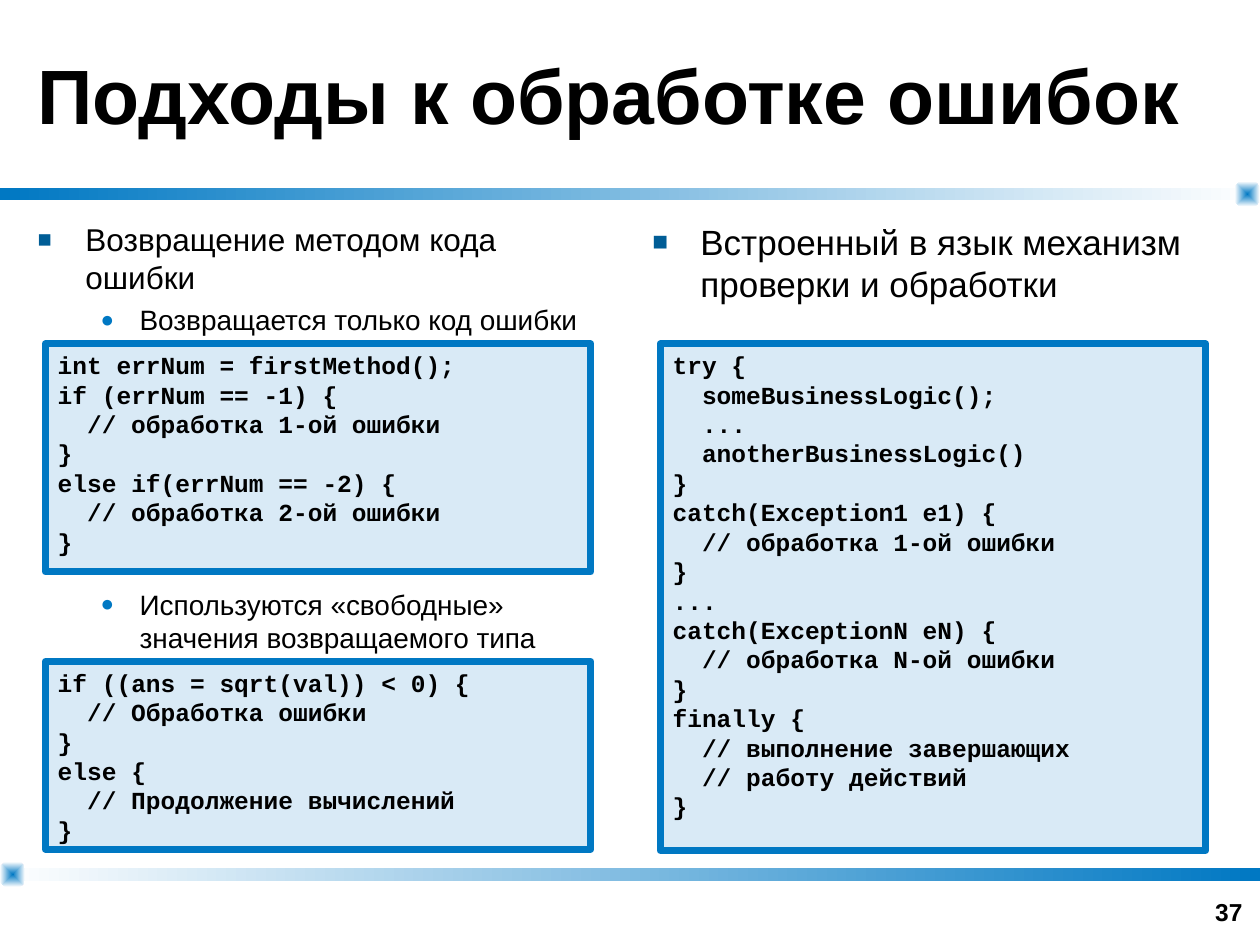
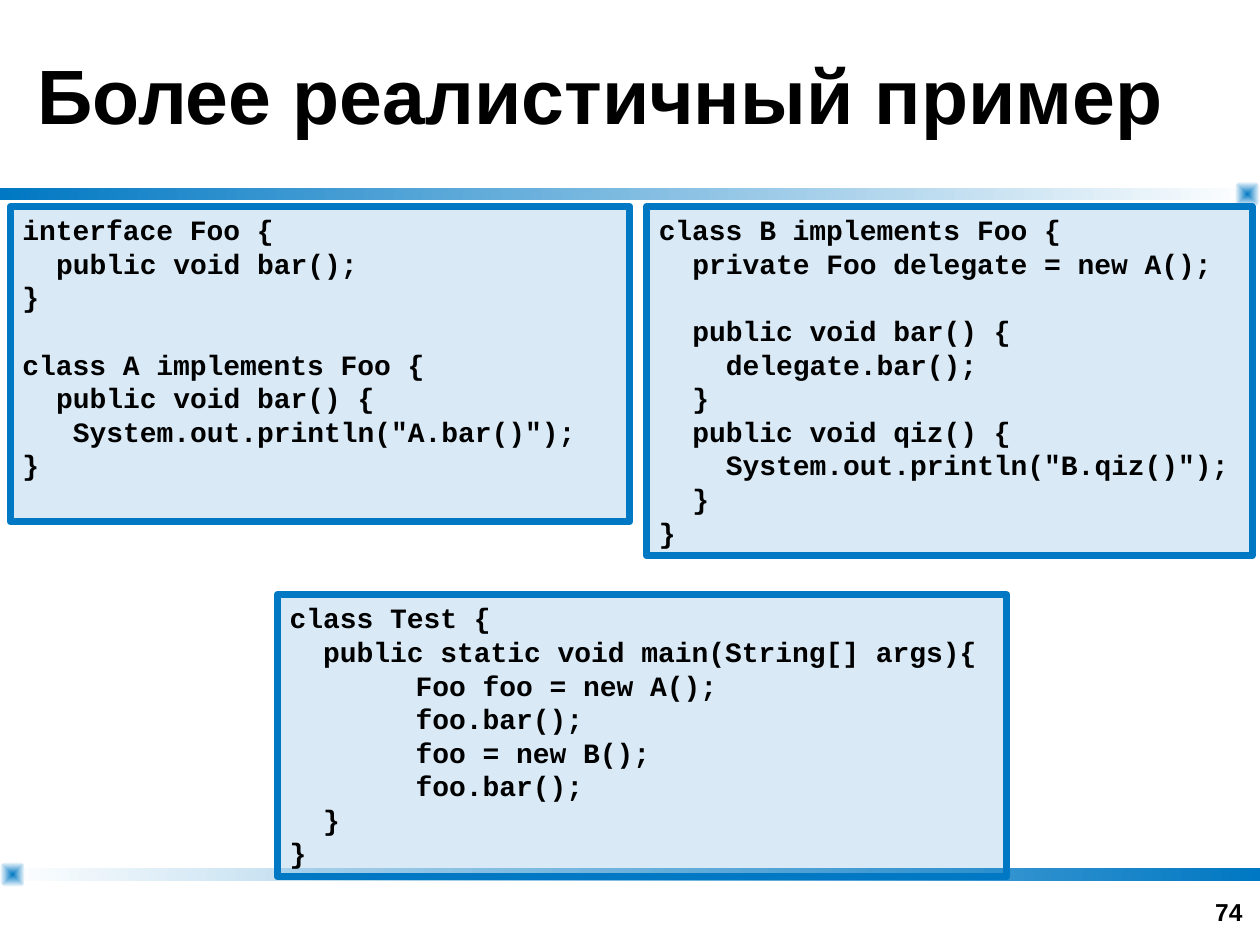
from dataclasses import dataclass
from lxml.etree import SubElement
from pptx import Presentation
from pptx.dml.color import RGBColor
from pptx.enum.shapes import MSO_SHAPE
from pptx.enum.text import MSO_ANCHOR, PP_ALIGN
from pptx.oxml.ns import qn
from pptx.util import Inches, Pt


@dataclass(frozen=True)
class Theme:
    blue: str = "0078C3"
    navy: str = "005D96"
    white: str = "FFFFFF"
    black: str = "000000"
    sans: str = "Arial"
    mono: str = "Courier New"
    title: int = 44
    sub: int = 16
    page: int = 14
    leading: float = 1.2


THEME = Theme()

CODES = """\
int errNum = firstMethod();
if (errNum == -1) {
  // обработка 1-ой ошибки
}
else if(errNum == -2) {
  // обработка 2-ой ошибки
}"""

FREE = """\
if ((ans = sqrt(val)) < 0) {
  // Обработка ошибки
}
else {
  // Продолжение вычислений
}"""

CATCH = """\
try {
  someBusinessLogic();
  ...
  anotherBusinessLogic()
}
catch(Exception1 e1) {
  // обработка 1-ой ошибки
}
...
catch(ExceptionN eN) {
  // обработка N-ой ошибки
}
finally {
  // выполнение завершающих
  // работу действий
}"""

CLASS_A = """\
interface Foo {
  public void bar();
}

class A implements Foo {
  public void bar() {
   System.out.println("A.bar()");
}"""

CLASS_B = """\
class B implements Foo {
  private Foo delegate = new A();

  public void bar() {
    delegate.bar();
  }
  public void qiz() {
    System.out.println("B.qiz()");
  }
}"""

TEST = """\
class Test {
  public static void main(String[] args){
\tFoo foo = new A();
\tfoo.bar();
\tfoo = new B();
\tfoo.bar();
  }
}"""


def rgb(color):
    return RGBColor.from_string(color)


def add_rect(slide, at, kind=MSO_SHAPE.RECTANGLE):
    shape = slide.shapes.add_shape(kind, *map(Inches, at))
    shape.shadow.inherit = False
    return shape


def blend(shape, start, end):
    """Fill with a left-to-right gradient and no outline."""
    shape.line.fill.background()
    shape.fill.gradient()
    shape.fill.gradient_angle = 0
    for stop, color in zip(shape.fill.gradient_stops, (start, end)):
        stop.color.rgb = rgb(color)


def add_band(slide, top, start, end):
    blend(add_rect(slide, (0, top, 10, 0.1)), start, end)


def add_knob(slide, left, top):
    """Rounded square that fades from its centre to the edges."""
    knob = add_rect(slide, (left, top, 0.2, 0.2), MSO_SHAPE.ROUNDED_RECTANGLE)
    knob.adjustments[0] = 0.32
    blend(knob, THEME.blue, THEME.white)
    grad = knob._element.spPr.find(qn("a:gradFill"))
    grad.remove(grad.find(qn("a:lin")))
    path = SubElement(grad, qn("a:path"), {"path": "rect"})
    SubElement(path, qn("a:fillToRect"), dict.fromkeys("ltrb", "50000"))


def add_text(slide, at, anchor=MSO_ANCHOR.TOP):
    frame = slide.shapes.add_textbox(*map(Inches, at)).text_frame
    frame.word_wrap = True
    frame.vertical_anchor = anchor
    return frame


def write(para, text, size, face=THEME.sans, bold=False):
    para.text = text
    para.line_spacing = Pt(size * THEME.leading)
    font = para.font
    font.name, font.size, font.bold = face, Pt(size), bold
    font.color.rgb = rgb(THEME.black)


def next_para(frame, index):
    return frame.add_paragraph() if index else frame.paragraphs[0]


def set_indent(para, left, first=0):
    props = para._p.get_or_add_pPr()
    props.set("marL", str(Inches(left)))
    props.set("indent", str(Inches(first)))
    return props


def add_bullet(para, level):
    left, hang, color, scale, sign = (
        (0.38, 0.38, THEME.navy, 75, "■"),
        (0.81, 0.31, THEME.blue, 80, "●"),
    )[level]
    para.level = level
    props = set_indent(para, left, -hang)
    tint = SubElement(props, qn("a:buClr"))
    SubElement(tint, qn("a:srgbClr"), val=color)
    SubElement(props, qn("a:buSzPct"), val=str(scale * 1000))
    SubElement(props, qn("a:buFont"), typeface=THEME.sans)
    SubElement(props, qn("a:buChar"), char=sign)


def add_list(slide, left, items):
    """Each item is its text, level, type size and space before in points."""
    frame = add_text(slide, (left, 1.7, 4.72, 4.9))
    for index, (text, level, size, space) in enumerate(items):
        para = next_para(frame, index)
        write(para, text, size)
        para.space_before = Pt(space)
        add_bullet(para, level)


def add_code(slide, at, code, size):
    """Code panel: leading blanks become indents, empty lines become spacing."""
    box = add_rect(slide, at)
    box.fill.solid()
    box.fill.fore_color.rgb = rgb(THEME.blue)
    tint = box._element.spPr.find(qn("a:solidFill"))[0]
    SubElement(tint, qn("a:alpha"), val="15000")
    box.line.color.rgb = rgb(THEME.blue)
    box.line.width = Pt(4)
    frame = box.text_frame
    frame.word_wrap = True
    frame.vertical_anchor = MSO_ANCHOR.TOP
    blocks = [block.split("\n") for block in code.split("\n\n")]
    lines = [(line, index > 0 and row == 0)
             for index, block in enumerate(blocks)
             for row, line in enumerate(block)]
    for index, (line, gap) in enumerate(lines):
        para = next_para(frame, index)
        text = line.lstrip()
        write(para, text, size, THEME.mono, True)
        para.alignment = PP_ALIGN.LEFT
        para.space_before = Pt(size * THEME.leading if gap else 0)
        tabs = line.count("\t")
        blanks = len(line) - len(text) - tabs
        set_indent(para, tabs + blanks * 0.6 * size / 72)


def add_page(deck, title, number):
    slide = deck.slides.add_slide(deck.slide_layouts[6])
    add_band(slide, 1.49, THEME.blue, THEME.white)
    add_band(slide, 6.89, THEME.white, THEME.blue)
    add_knob(slide, 9.8, 1.44)
    add_knob(slide, 0, 6.84)
    foot = add_text(slide, (7.63, 6.9, 2.33, 0.5), MSO_ANCHOR.BOTTOM)
    write(foot.paragraphs[0], str(number), THEME.page, bold=True)
    foot.paragraphs[0].alignment = PP_ALIGN.RIGHT
    head = add_text(slide, (0.2, 0, 9.6, 1.49), MSO_ANCHOR.MIDDLE)
    write(head.paragraphs[0], title, THEME.title, bold=True)
    return slide


def main():
    deck = Presentation()
    deck.slide_width, deck.slide_height = Inches(10), Inches(7.5)

    slide = add_page(deck, "Подходы к обработке ошибок", 37)
    add_list(slide, 0.2, [
        ("Возвращение методом кода ошибки", 0, 18, 0),
        ("Возвращается только код ошибки", 1, THEME.sub, 4),
        ("Используются «свободные» значения возвращаемого типа",
         1, THEME.sub, 143.2),
    ])
    add_list(slide, 5.08, [
        ("Встроенный в язык механизм проверки и обработки", 0, 20, 0),
    ])
    add_code(slide, (0.36, 2.73, 4.33, 1.81), CODES, 14)
    add_code(slide, (0.36, 5.25, 4.33, 1.49), FREE, 14)
    add_code(slide, (5.24, 2.73, 4.33, 4.02), CATCH, 14)

    slide = add_page(deck, "Более реалистичный пример", 74)
    add_code(slide, (0.08, 1.64, 4.92, 2.5), CLASS_A, 16)
    add_code(slide, (2.2, 4.72, 5.79, 2.24), TEST, 16)
    add_code(slide, (5.13, 1.64, 4.81, 2.77), CLASS_B, 16)

    deck.save("out.pptx")


if __name__ == "__main__":
    main()
